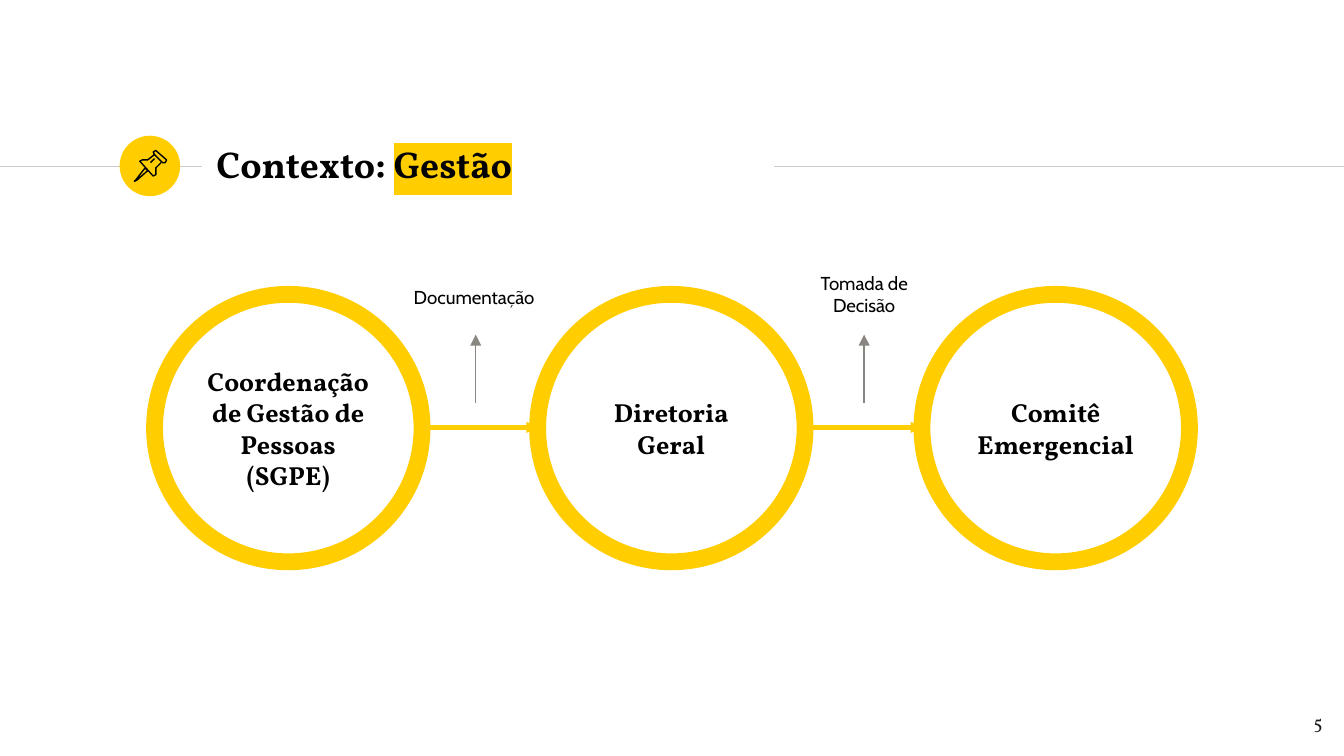
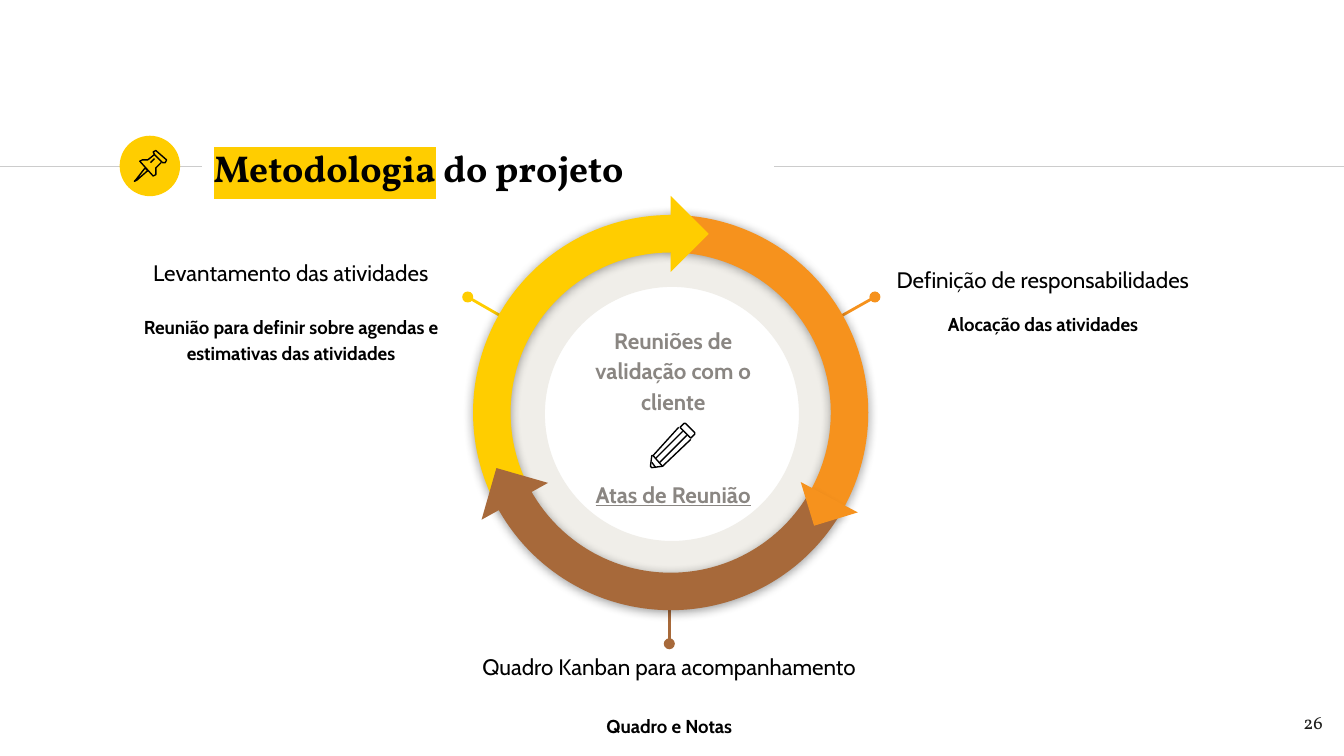
"""Builds two project slides: the management flow and the methodology cycle."""
from pptx import Presentation
from pptx.dml.color import RGBColor
from pptx.enum import shapes, text
from pptx.oxml import ns
from pptx.util import Pt
from lxml import etree

PX = 9144
COLORS = {
    "yellow": "FFCD00", "orange": "F6921D", "brown": "A7693A", "grey": "8A8682",
    "rule": "CCCCCC", "ring": "F0EEE9", "black": "000000", "number": "1D1D1B",
}
SERIF, SANS = "Vollkorn", "Cabin"
CENTER, LEFT, RIGHT = text.PP_ALIGN.CENTER, text.PP_ALIGN.LEFT, text.PP_ALIGN.RIGHT
MIDDLE, TOP = text.MSO_ANCHOR.MIDDLE, text.MSO_ANCHOR.TOP
PRESET = shapes.MSO_SHAPE

PIN = [
    ([(108, 125), (101, 134), (100, 135), (102, 134), (110, 127)], True),
    ([(115, 115), (121, 121), (123, 121), (124, 119), (116, 112), (114, 113)], True),
    ([(115, 115), (110, 119), (106, 119), (104, 120), (114, 131), (116, 130),
      (116, 125), (120, 121)], False),
    ([(112, 121), (115, 118)], False),
]
PENCIL = [
    ([(517, 322), (510, 315), (509, 315), (506, 318), (514, 326), (517, 323)], True),
    ([(511, 324), (491, 344)], False),
    ([(505, 318), (486, 339), (485, 339), (484, 347), (485, 348), (493, 347),
      (514, 327)], False),
    ([(488, 341), (508, 321)], False),
    ([(488, 348), (485, 344)], False),
    ([(486, 339), (493, 347)], False),
]


def rgb(color):
    return RGBColor.from_string(COLORS[color])


def emu(*lengths):
    return [length * PX for length in lengths]


def set_frame(frame, anchor=TOP):
    frame.word_wrap = True
    frame.auto_size = text.MSO_AUTO_SIZE.NONE
    frame.vertical_anchor = anchor
    frame.margin_left = frame.margin_right = 10 * PX
    frame.margin_top = frame.margin_bottom = 10 * PX


def set_paragraph(paragraph, size, font, color="black", bold=False, align=CENTER):
    paragraph.alignment = align
    paragraph.font.size = Pt(size)
    paragraph.font.name = font
    paragraph.font.bold = bold
    paragraph.font.color.rgb = rgb(color)


def add_label(slide, box, words, size, font, color="black", align=CENTER):
    label = slide.shapes.add_textbox(*emu(*box))
    set_frame(label.text_frame)
    label.text_frame.text = words
    set_paragraph(label.text_frame.paragraphs[0], size, font, color, align=align)


def add_note(slide, box, lead, detail, gap, size=10, color="black", bold_lead=False,
             underline=False, anchor=TOP):
    """Adds a lead line with a bold detail below it."""
    frame = slide.shapes.add_textbox(*emu(*box)).text_frame
    set_frame(frame, anchor)
    frame.text = f"{lead}\n{detail}"
    first, second = frame.paragraphs
    set_paragraph(first, 12, SANS, color, bold_lead)
    set_paragraph(second, size, SANS, color, True)
    first.line_spacing = second.line_spacing = 1.15
    second.space_before = Pt(gap)
    if underline:
        second.font.underline = True


def add_line(slide, start, end, color, width, head=None, tail=None, tip="med"):
    line = slide.shapes.add_connector(
        shapes.MSO_CONNECTOR.STRAIGHT, *emu(*start, *end))
    line.line.color.rgb = rgb(color)
    line.line.width = Pt(width)
    properties = line._element.spPr
    outline = properties.find(ns.qn("a:ln"))
    for tag, kind in (("a:headEnd", head), ("a:tailEnd", tail)):
        if kind:
            etree.SubElement(outline, ns.qn(tag), type=kind, w=tip, len=tip)
    etree.SubElement(properties, ns.qn("a:effectLst"))


def add_filled(slide, preset, box, color, rotation=0, adjustments=()):
    shape = slide.shapes.add_shape(preset, *emu(*box))
    shape.shadow.inherit = False
    shape.fill.solid()
    shape.fill.fore_color.rgb = rgb(color)
    shape.line.fill.background()
    shape.rotation = rotation
    for index, value in enumerate(adjustments):
        shape.adjustments[index] = value
    return shape


def add_soft_shadow(shape):
    effects = shape._element.spPr.find(ns.qn("a:effectLst"))
    shadow = etree.SubElement(
        effects, ns.qn("a:outerShdw"), blurRad=str(Pt(5.6)), dist=str(Pt(0.8)),
        dir="5400000", algn="bl", rotWithShape="0")
    black = etree.SubElement(shadow, ns.qn("a:srgbClr"), val=COLORS["black"])
    etree.SubElement(black, ns.qn("a:alpha"), val="40000")


def add_icon(slide, strokes):
    for points, closed in strokes:
        builder = slide.shapes.build_freeform(*points[0], scale=PX)
        builder.add_line_segments(points[1:], close=closed)
        stroke = builder.convert_to_shape()
        stroke.shadow.inherit = False
        stroke.fill.background()
        stroke.line.color.rgb = rgb("black")
        stroke.line.width = Pt(0.75)


def add_stage(slide, left, words):
    stage = slide.shapes.add_shape(PRESET.OVAL, *emu(left, 219, 199, 199))
    stage.shadow.inherit = False
    stage.fill.background()
    stage.line.color.rgb = rgb("yellow")
    stage.line.width = Pt(9)
    set_frame(stage.text_frame, MIDDLE)
    stage.text_frame.text = words
    set_paragraph(stage.text_frame.paragraphs[0], 14, SERIF, bold=True)


def add_base(deck, title_box, title_runs, number):
    """Adds a slide with the shared title band; title runs pair words with a highlight flag."""
    slide = deck.slides.add_slide(deck.slide_layouts[5])
    add_line(slide, (0, 124), (150, 124), "rule", 0.75)
    add_filled(slide, PRESET.OVAL, (89, 101, 45, 45), "yellow")
    add_line(slide, (576, 124), (1000, 124), "rule", 0.75)
    title = slide.shapes.title
    title.left, title.top, title.width, title.height = emu(*title_box)
    set_frame(title.text_frame, MIDDLE)
    heading = title.text_frame.paragraphs[0]
    set_paragraph(heading, 20, SERIF, bold=True, align=LEFT)
    for words, marked in title_runs:
        run = heading.add_run()
        run.text = words
        if marked:
            highlight = etree.SubElement(
                run._r.get_or_add_rPr(), ns.qn("a:highlight"))
            etree.SubElement(highlight, ns.qn("a:srgbClr"), val=COLORS["yellow"])
    add_icon(slide, PIN)
    add_label(slide, (934, 519, 60, 43), number, 10, SERIF, "number", RIGHT)
    return slide


def build_management(deck):
    slide = add_base(deck, (151, 98, 424, 48),
                     [("Contexto: ", False), ("Gestão", True)], "5")
    stages = ["Coordenação de Gestão de Pessoas (SGPE)", "Diretoria Geral",
              "Comitê Emergencial"]
    for index, words in enumerate(stages):
        left = 115 + 571 * index // 2
        add_stage(slide, left, words)
        if index:
            add_line(slide, (left - 86, 318), (left, 318), "yellow", 3,
                     tail="triangle", tip="sm")
    outputs = [(354, (298, 203, 112, 37), "Documentação", LEFT),
               (643, (600, 192, 86, 54), "Tomada de Decisão", CENTER)]
    for x, box, words, align in outputs:
        add_line(slide, (x, 300), (x, 249), "grey", 0.75, tail="triangle")
        add_label(slide, box, words, 10, SANS, align=align)


def build_methodology(deck):
    slide = add_base(deck, (149, 101, 425, 48),
                     [("Metodologia", True), (" do projeto", False)], "26")
    add_filled(slide, PRESET.DONUT, (361, 169, 278, 278), "ring", adjustments=[0.16])
    steps = [
        ("yellow", (348, 221), (395, 248), (85, 180, 263, 73), 14,
         "Levantamento das atividades",
         "Reunião para definir sobre agendas e estimativas das atividades"),
        ("orange", (651, 221), (603, 248), (652, 185, 248, 73), 9,
         "Definição de responsabilidades", "Alocação das atividades"),
        ("brown", (498, 479), (498, 428), (338, 473, 320, 73), 17,
         "Quadro Kanban para acompanhamento", "Quadro e Notas"),
    ]
    for color, dot, end, box, gap, lead, detail in steps:
        add_line(slide, dot, end, color, 1.5, head="oval")
        add_note(slide, box, lead, detail, gap)
    add_note(slide, (421, 237, 160, 144), "Reuniões de validação com o cliente",
             "Atas de Reunião", 33, 12, "grey", True, True, MIDDLE)
    degree = 0.6
    for color, turn in (("orange", 120), ("yellow", 0), ("brown", 240)):
        arc = add_filled(slide, PRESET.BLOCK_ARC, (352, 160, 294, 294), color, turn,
                         [150 * degree, 271 * degree, 0.095])
        add_soft_shadow(arc)
    arrowheads = [("yellow", (479, 154, 40, 40), 225),
                  ("orange", (600, 353, 34, 34), 343),
                  ("brown", (363, 353, 40, 40), 106)]
    for color, box, turn in arrowheads:
        add_filled(slide, PRESET.RIGHT_TRIANGLE, box, color, turn)
    add_icon(slide, PENCIL)


def main():
    deck = Presentation()
    deck.slide_width = 1000 * PX
    deck.slide_height = deck.slide_width * 9 // 16
    build_management(deck)
    build_methodology(deck)
    deck.save("out.pptx")


if __name__ == "__main__":
    main()
